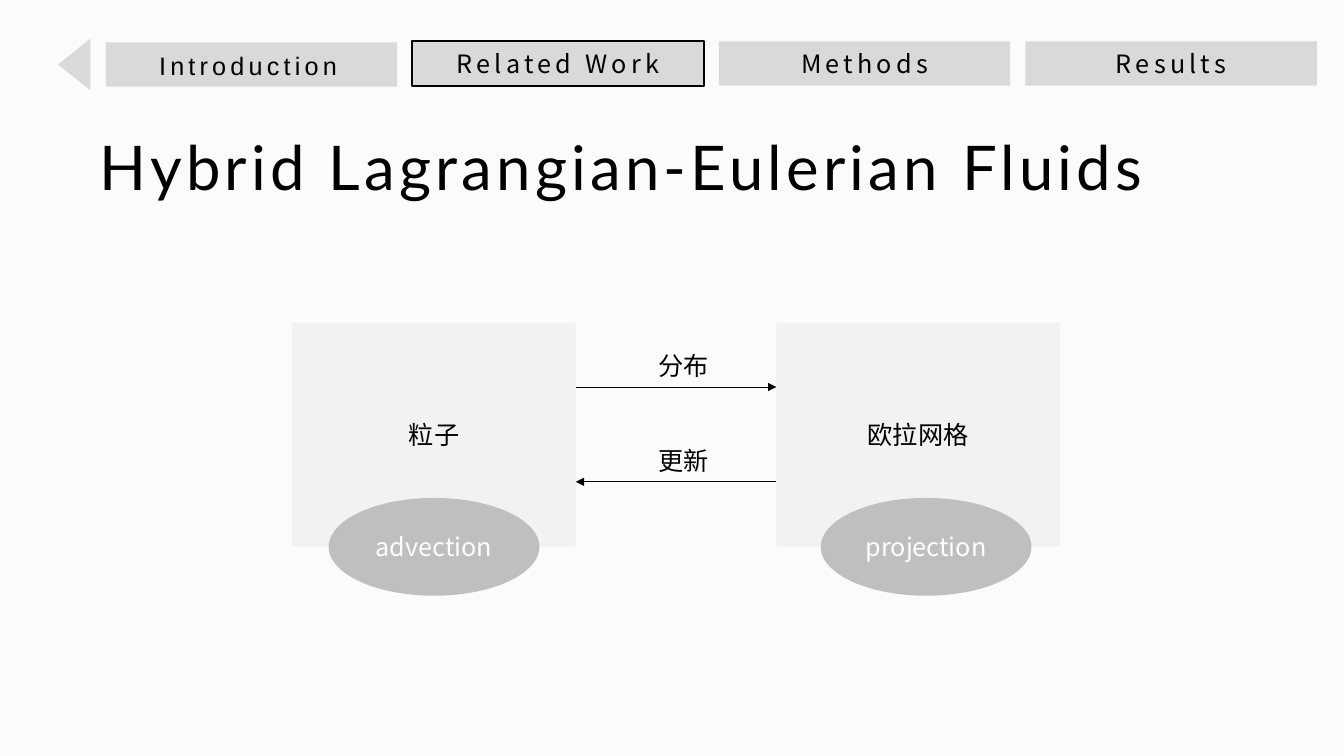
from lxml.etree import SubElement
from pptx import Presentation
from pptx.dml.color import RGBColor
from pptx.enum.shapes import MSO_CONNECTOR, MSO_SHAPE
from pptx.enum.text import MSO_ANCHOR, MSO_AUTO_SIZE, PP_ALIGN
from pptx.oxml.ns import qn
from pptx.util import Inches, Pt

BACKGROUND = RGBColor(0xFB, 0xFB, 0xFB)
PANEL = RGBColor(0xF2, 0xF2, 0xF2)
TAB = RGBColor(0xD9, 0xD9, 0xD9)
OVAL = RGBColor(0xBF, 0xBF, 0xBF)
BLACK = RGBColor(0, 0, 0)
WHITE = RGBColor(0xFF, 0xFF, 0xFF)
CJK = "Noto Sans CJK SC"

deck = Presentation()
deck.slide_width, deck.slide_height = Inches(13.33), Inches(7.5)
slide = deck.slides.add_slide(deck.slide_layouts[6])
slide.background.fill.solid()
slide.background.fill.fore_color.rgb = BACKGROUND


def write(shape, text, font=CJK, size=18, color=BLACK, spacing=0):
    """Set one styled paragraph; spacing is the letter spacing in points."""
    para = shape.text_frame.paragraphs[0]
    para.text = text
    para.font.name = font
    para.font.size = Pt(size)
    para.font.color.rgb = color
    defaults = para._p.pPr.find(qn("a:defRPr"))
    defaults.set("spc", str(spacing * 100))
    SubElement(defaults, qn("a:ea")).set("typeface", font)
    return para


def add_box(kind, left, top, width, height, fill, text="", **style):
    """Add a filled shape without outline, its text in the middle."""
    box = slide.shapes.add_shape(
        kind, Inches(left), Inches(top), Inches(width), Inches(height))
    box.shadow.inherit = False
    box.fill.solid()
    box.fill.fore_color.rgb = fill
    box.line.fill.background()
    if text:
        box.text_frame.vertical_anchor = MSO_ANCHOR.MIDDLE
        write(box, text, **style).alignment = PP_ALIGN.CENTER
    return box


# Particle and grid panels, each with an oval on its lower edge
panel_top, panel_width, panel_height = 3.2, 2.81, 2.22
panel_lefts = (2.9, 7.7)
panels = (("粒子", "advection", 3.26), ("欧拉网格", "projection", 8.14))
for left, (name, step, oval_left) in zip(panel_lefts, panels):
    add_box(MSO_SHAPE.RECTANGLE, left, panel_top, panel_width, panel_height,
            PANEL, name)
    add_box(MSO_SHAPE.OVAL, oval_left, 4.94, 2.09, 0.97, OVAL, step, color=WHITE)

# Arrows between the panels
gap_left, gap_right = panel_lefts[0] + panel_width, panel_lefts[1]
for start, end, y in ((gap_left, gap_right, 3.84), (gap_right, gap_left, 4.78)):
    arrow = slide.shapes.add_connector(
        MSO_CONNECTOR.STRAIGHT, Inches(start), Inches(y), Inches(end), Inches(y))
    arrow.line.color.rgb = BLACK
    arrow.line.width = Pt(0.5)
    SubElement(arrow.line._get_or_add_ln(), qn("a:tailEnd")).set("type", "triangle")
    SubElement(arrow._element.spPr, qn("a:effectLst"))

# Navigation bar
pointer = add_box(MSO_SHAPE.ISOSCELES_TRIANGLE, 0.48, 0.48, 0.51, 0.32, TAB)
pointer.rotation = 270
tab_left, tab_pitch, tab_width, tab_height = 1.05, 3.04, 2.89, 0.44
add_box(MSO_SHAPE.RECTANGLE, tab_left, 0.42, tab_width, tab_height, TAB)
for column, section in enumerate(("Related Work", "Methods", "Results"), start=1):
    tab = add_box(MSO_SHAPE.RECTANGLE, tab_left + column * tab_pitch, 0.41,
                  tab_width, tab_height, TAB, section, spacing=3)
    if section == "Related Work":
        tab.line.color.rgb = BLACK
        tab.line.width = Pt(1.5)

# Title and free labels
labels = (
    ("Hybrid Lagrangian-Eulerian Fluids", 0.89, 1.23, 10.96, 0.84, "Lato", 44, 3),
    ("Introduction", 1.48, 0.45, 2.03, 0.4, "Arial", 18, 3),
    ("分布", 6.43, 3.43, 0.71, 0.4, CJK, 18, 0),
    ("更新", 6.43, 4.37, 0.71, 0.4, CJK, 18, 0),
)
for text, left, top, width, height, font, size, spacing in labels:
    label = slide.shapes.add_textbox(
        Inches(left), Inches(top), Inches(width), Inches(height))
    label.text_frame.word_wrap = False
    label.text_frame.auto_size = MSO_AUTO_SIZE.SHAPE_TO_FIT_TEXT
    write(label, text, font, size, spacing=spacing)

deck.save("out.pptx")
